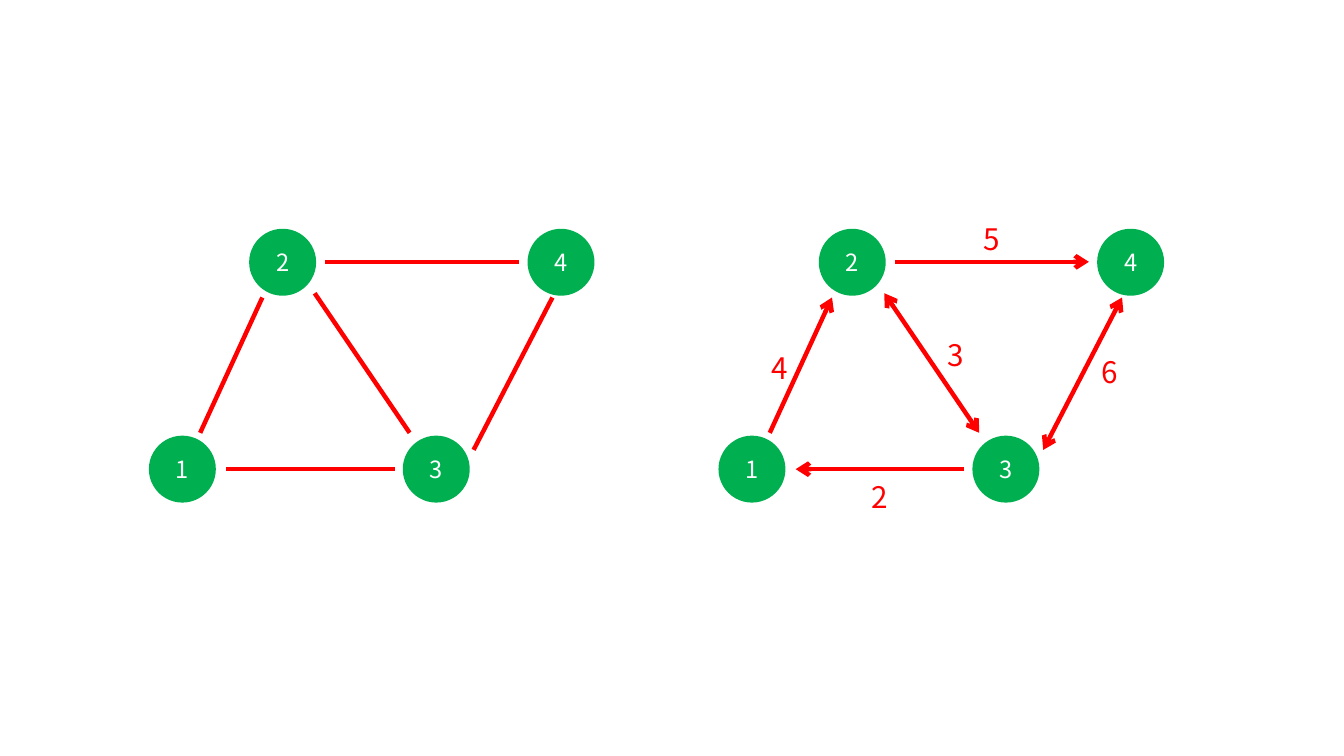
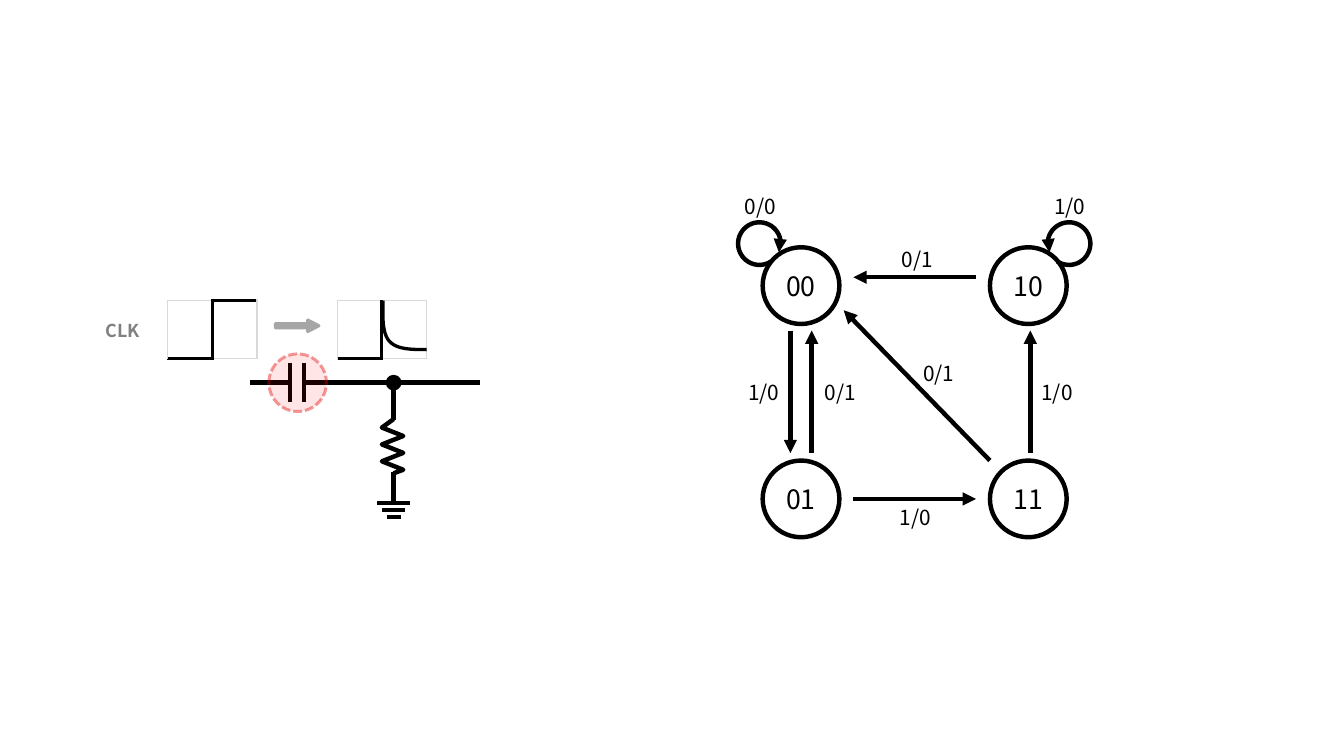
import math

import pptx
import pptx.dml.color
import pptx.enum.dml
import pptx.enum.shapes
import pptx.enum.text
import pptx.oxml
import pptx.oxml.ns
import pptx.util

Pt = pptx.util.Pt
qn = pptx.oxml.ns.qn
SHAPE = pptx.enum.shapes.MSO_SHAPE
FONT = "Noto Sans CJK KR"
COLORS = {
    "black": "000000",
    "white": "FFFFFF",
    "node": "00B050",
    "edge": "FF0000",
    "dash": "E20000",
    "text": "808080",
    "arrow": "A6A6A6",
    "frame": "D9D9D9",
}


def rgb(name):
    return pptx.dml.color.RGBColor.from_string(COLORS[name])


def sub(parent, tag, **attrs):
    el = pptx.oxml.parse_xml(f'<a:{tag} {pptx.oxml.ns.nsdecls("a")}/>')
    for key, value in attrs.items():
        el.set(key, str(value))
    parent.append(el)
    return el


def write(tf, text, size, color, bold=False):
    p = tf.paragraphs[0]
    p.alignment = pptx.enum.text.PP_ALIGN.CENTER
    r = p.add_run()
    r.text = text
    r.font.size = Pt(size)
    r.font.name = FONT
    r.font.bold = bold
    r.font.color.rgb = rgb(color)


def stroke(sp, color, width, head=None, tail=None):
    sp.line.color.rgb = rgb(color)
    sp.line.width = Pt(width)
    ln = sp.line._get_or_add_ln()
    for tag, kind in (("headEnd", head), ("tailEnd", tail)):
        if kind:
            sub(ln, tag, type=kind)


def add_preset(slide, kind, x, y, w, h, fill, line, width):
    sp = slide.shapes.add_shape(kind, Pt(x), Pt(y), Pt(w), Pt(h))
    sp.shadow.inherit = False
    if fill:
        sp.fill.solid()
        sp.fill.fore_color.rgb = rgb(fill)
    else:
        sp.fill.background()
    stroke(sp, line, width)
    return sp


def add_node(slide, x, y, d, text, size, color, fill, line, width):
    sp = add_preset(slide, SHAPE.OVAL, x, y, d, d, fill, line, width)
    tf = sp.text_frame
    tf.margin_left = tf.margin_right = tf.margin_top = tf.margin_bottom = 0
    tf.vertical_anchor = pptx.enum.text.MSO_ANCHOR.MIDDLE
    write(tf, text, size, color)


def add_line(slide, x1, y1, x2, y2, color="black", head=None, tail=None):
    cx = slide.shapes.add_connector(
        pptx.enum.shapes.MSO_CONNECTOR.STRAIGHT, Pt(x1), Pt(y1), Pt(x2), Pt(y2))
    stroke(cx, color, 3, head, tail)
    sub(cx._element.spPr, "effectLst")


def add_path(slide, points, width, tail=None):
    points = [(Pt(x), Pt(y)) for x, y in points]
    builder = slide.shapes.build_freeform(*points[0], scale=1.0)
    builder.add_line_segments(points[1:], close=False)
    sp = builder.convert_to_shape()
    sp.shadow.inherit = False
    sp.fill.background()
    stroke(sp, "black", width, tail=tail)


def add_label(slide, x, y, w, h, text, size, color):
    tb = slide.shapes.add_textbox(Pt(x), Pt(y), Pt(w), Pt(h))
    tf = tb.text_frame
    tf.word_wrap = True
    tf.auto_size = pptx.enum.text.MSO_AUTO_SIZE.SHAPE_TO_FIT_TEXT
    write(tf, text, size, color)


def bezier(p0, p1, p2, p3, steps=12):
    for i in range(steps + 1):
        t = i / steps
        u = 1 - t
        yield tuple(u**3 * a + 3 * u * u * t * b + 3 * u * t * t * c + t**3 * d
                    for a, b, c, d in zip(p0, p1, p2, p3))


GRAPH_NODES = {"2": (67.7, 0), "1": (0, 139.7), "3": (171.4, 139.7), "4": (255.6, 0)}
GRAPH_EDGES = [
    (75.6, 45.4, 33.6, 136.8),
    (249, 21.3, 118, 21.3),
    (164.9, 161.3, 51.1, 161.3),
    (271.4, 45.4, 218.2, 148.3),
    (110.9, 42.5, 175, 136.8),
]
GRAPH_ARROWS = [("arrow", None), ("arrow", None), (None, "arrow"),
                ("arrow", "arrow"), ("arrow", "arrow")]
GRAPH_WEIGHTS = [("5", 165.6, -10.1), ("3", 141.8, 68.4), ("6", 245.5, 79.9),
                 ("2", 90, 164.2), ("4", 23, 77)]


def add_graph(slide, x, y, directed):
    for text, (dx, dy) in GRAPH_NODES.items():
        add_node(slide, x + dx, y + dy, 43.2, text, 16, "white", "node", "node", 2)
    for (x1, y1, x2, y2), (head, tail) in zip(GRAPH_EDGES, GRAPH_ARROWS):
        ends = {"head": head, "tail": tail} if directed else {}
        add_line(slide, x + x1, y + y1, x + x2, y + y2, "edge", **ends)
    if directed:
        for text, dx, dy in GRAPH_WEIGHTS:
            add_label(slide, x + dx, y + dy, 35.3, 31.7, text, 20, "edge")


def set_borders(cell, **sides):
    tcPr = cell._tc.get_or_add_tcPr()
    for side in "LRTB":
        if side in sides:
            color = sides[side]
            width = 2.25 if color == "black" else 1
            ln = sub(tcPr, "ln" + side, w=Pt(width))
            sub(sub(ln, "solidFill"), "srgbClr", val=COLORS[color])
    cell.fill.background()


def add_signal(slide, x, y, widths, borders):
    frame = slide.shapes.add_table(1, len(widths), Pt(x), Pt(y), Pt(sum(widths)), Pt(39))
    table = frame.table
    table.first_row = table.horz_banding = False
    table.rows[0].height = Pt(39)
    for i, (width, sides) in enumerate(zip(widths, borders)):
        table.columns[i].width = Pt(width)
        set_borders(table.cell(0, i), **sides)
    return table


def add_signals(slide, x, y):
    low = {"L": "frame", "T": "frame", "R": "black", "B": "black"}
    high = {"L": "black", "T": "black", "R": "frame", "B": "frame"}
    decay = {**high, "T": "frame"}
    clock = add_signal(slide, x, y, [60.5, 30.2, 30.2], [{"R": "frame"}, low, high])
    cell = clock.cell(0, 0)
    cell.vertical_anchor = pptx.enum.text.MSO_ANCHOR.MIDDLE
    write(cell.text_frame, "CLK", 12, "text", bold=True)
    sp = add_preset(slide, SHAPE.RIGHT_ARROW, x + 133.2, y + 13, 29.5, 7.9,
                    "arrow", "arrow", 2)
    sp.adjustments[0], sp.adjustments[1] = 0.365, 0.962
    add_signal(slide, x + 175, y, [30.2, 30.2], [low, decay])
    fall = bezier((205.9, 0), (205.9, 10.8), (205.2, 21.6), (210.2, 27.4))
    settle = bezier((210.2, 27.4), (215.3, 33.1), (225.4, 33.1), (235.4, 33.1))
    points = list(fall) + list(settle)[1:]
    add_path(slide, [(x + dx, y + dy) for dx, dy in points], 2.25)


def add_circuit(slide, x, y):
    wire, branch = y + 55.4, x + 213.1
    for plate, end in ((143.3, 115.9), (152.6, 271.4)):
        add_line(slide, x + plate, wire + 13, x + plate, wire - 13)
        add_line(slide, x + plate, wire, x + end, wire)
    add_preset(slide, SHAPE.OVAL, branch - 4.3, wire - 4.3, 8.6, 8.6, "black", "black", 2)
    add_line(slide, branch, wire + 4, branch, y + 80.5)
    zigzag = [(x + (219.6 if i % 2 else 205.2), y + 85.7 + 5.7 * i) for i in range(6)]
    add_path(slide, [(branch, y + 80), *zigzag, (branch, y + 116.6)], 3)
    ground = y + 136.8
    add_line(slide, branch, y + 116, branch, ground)
    for i, half in enumerate((11.2, 7.6, 4.7)):
        add_line(slide, branch - half, ground + 4.7 * i, branch + half, ground + 4.7 * i)
    sp = add_preset(slide, SHAPE.OVAL, x + 128.9, y + 36, 38.9, 38.9, "edge", "dash", 2)
    sp.line.dash_style = pptx.enum.dml.MSO_LINE.SQUARE_DOT
    sp.line._get_or_add_ln().find(qn("a:prstDash")).set("val", "sysDash")
    fill = sp._element.spPr.find(qn("a:solidFill"))
    edge = sp.line._get_or_add_ln().find(qn("a:solidFill"))
    for paint, percent in ((fill, 10), (edge, 40)):
        sub(paint[0], "alpha", val=percent * 1000)


STATE_PITCH = (153.4, 144)
STATES = {"00": (0, 0), "01": (0, 1), "11": (1, 1), "10": (1, 0)}
TRANSITIONS = [
    (144, 20.2, 61.2, 20.2),
    (180.7, 139, 180.7, 56.2),
    (18.7, 56.2, 18.7, 139),
    (33.1, 139, 33.1, 56.2),
    (61.2, 169.9, 144, 169.9),
    (153.4, 144, 54.7, 42.5),
]
TRANSITION_LABELS = [
    ("1/0", -20.9, 85.7), ("0/1", 31, 85.7), ("0/1", 97.2, 73.4), ("1/0", 177.1, 85.7),
    ("1/0", 81.4, 170.6), ("0/1", 82.8, -3.6), ("0/0", -23, -39.6), ("1/0", 185.8, -39.6),
]


def add_loop(slide, cx, cy, side):
    angles = [math.radians(a) for a in range(56, 385, 8)]
    points = [(cx + side * 14.4 * math.cos(a), cy + 14.4 * math.sin(a)) for a in angles]
    add_path(slide, points, 3, tail="triangle")


def add_state_machine(slide, x, y):
    for text, (col, row) in STATES.items():
        add_node(slide, x + col * STATE_PITCH[0], y + row * STATE_PITCH[1], 51.8,
                 text, 18, "black", None, "black", 3)
    for x1, y1, x2, y2 in TRANSITIONS:
        add_line(slide, x + x1, y + y1, x + x2, y + y2, tail="triangle")
    add_loop(slide, x - 2.2, y - 2.5, 1)
    add_loop(slide, x + 206.8, y - 2.5, -1)
    for text, dx, dy in TRANSITION_LABELS:
        add_label(slide, x + dx, y + dy, 43.2, 24.5, text, 14, "black")


def main():
    prs = pptx.Presentation()
    prs.slide_width, prs.slide_height = Pt(907.2), Pt(510.48)
    blank = prs.slide_layouts[6]

    graphs = prs.slides.add_slide(blank)
    add_graph(graphs, 101.5, 155.5, directed=False)
    add_graph(graphs, 486, 155.5, directed=True)

    circuits = prs.slides.add_slide(blank)
    add_circuit(circuits, 52.6, 203)
    add_signals(circuits, 52.6, 203)
    add_state_machine(circuits, 514.8, 167)

    prs.save("out.pptx")


if __name__ == "__main__":
    main()
